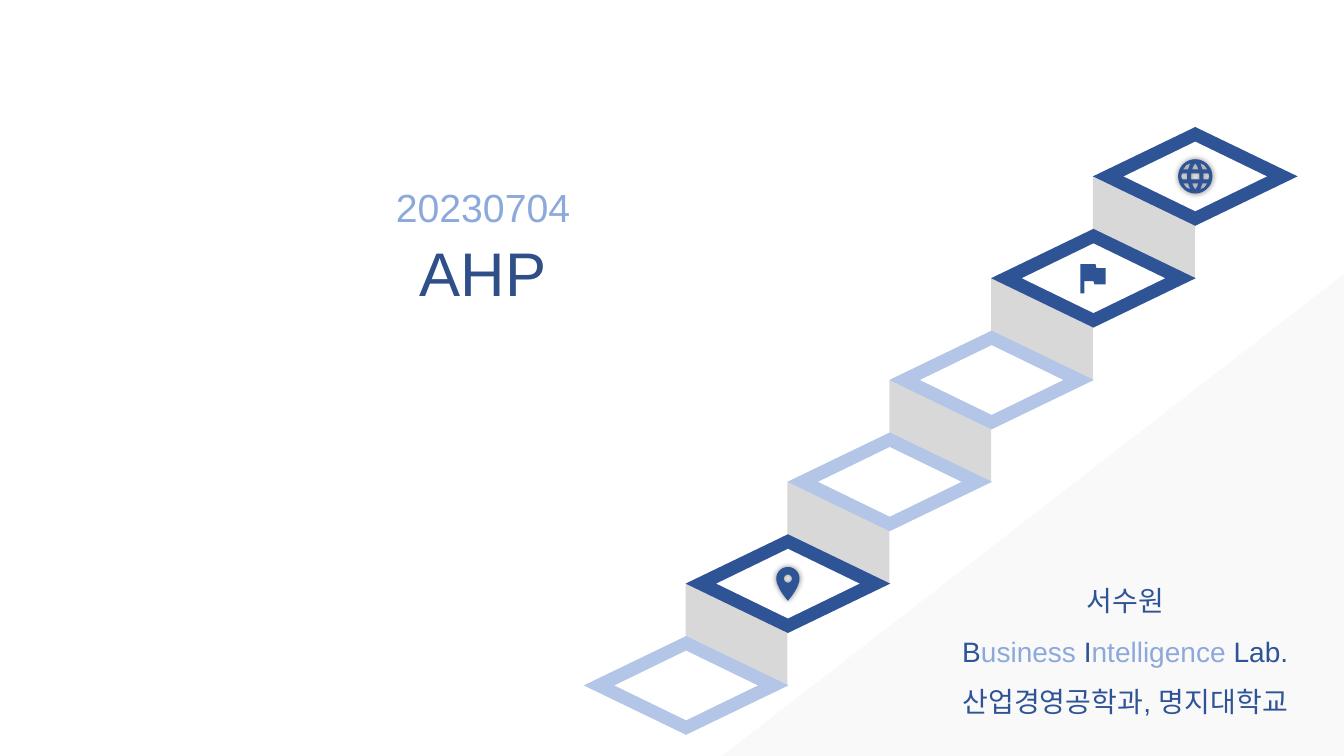
from dataclasses import dataclass
from math import cos, radians, sin

from lxml import etree
from pptx import Presentation
from pptx.dml.color import RGBColor
from pptx.enum.shapes import MSO_SHAPE
from pptx.enum.text import MSO_ANCHOR, MSO_AUTO_SIZE, PP_ALIGN
from pptx.oxml.ns import qn
from pptx.util import Inches, Pt

DIAMOND = MSO_SHAPE.DIAMOND
PARALLELOGRAM = MSO_SHAPE.PARALLELOGRAM
RIGHT_TRIANGLE = MSO_SHAPE.RIGHT_TRIANGLE
MIDDLE = MSO_ANCHOR.MIDDLE
GROW = MSO_AUTO_SIZE.SHAPE_TO_FIT_TEXT
CENTER = PP_ALIGN.CENTER


@dataclass(frozen=True)
class Theme:
    font: str = "Arial"
    navy: str = "2F5496"
    title_navy: str = "2E4F88"
    sky: str = "8DA9DB"
    pale: str = "B3C6E7"
    riser: str = "D8D8D8"
    corner: str = "F2F2F2"
    white: str = "FFFFFF"
    shadow: str = "000000"
    title_size: int = 44
    date_size: int = 28
    credit_size: int = 20


THEME = Theme()

TITLE = [[("AHP", THEME.title_navy)]]
DATE = [[("20230704", THEME.sky)]]
CREDIT = [
    [("서수원", THEME.navy)],
    [("B", THEME.navy), ("usiness ", THEME.sky), ("I", THEME.navy),
     ("ntelligence ", THEME.sky), ("Lab.", THEME.navy)],
    [("산업경영공학과, 명지대학교", THEME.navy)],
]
STEPS = [
    (THEME.pale, None), (THEME.navy, "pin"), (THEME.pale, None),
    (THEME.pale, None), (THEME.navy, "flag"), (THEME.navy, "globe"),
]
FIRST_LEFT, FIRST_TOP = 5.79, 6.31
STEP_W, STEP_H = 2.03, 0.98
INNER_W, INNER_H = 1.42, 0.69
RUN = RISE = 1.01
RISER_SLANT = 0.469


def circle(radius, start=0, end=360, center_y=0.0):
    angles = [radians(start + (end - start) * i / 36) for i in range(37)]
    return [(radius * cos(a), center_y + radius * sin(a)) for a in angles]


def curve(a, b, c, d):
    def point(t):
        weights = ((1 - t) ** 3, 3 * t * (1 - t) ** 2, 3 * t * t * (1 - t), t ** 3)
        return tuple(sum(w * p[axis] for w, p in zip(weights, (a, b, c, d)))
                     for axis in (0, 1))
    return [point(i / 12) for i in range(13)]


def mirrored(outline, sx, sy):
    return [(x * sx, y * sy) for x, y in outline]


def pin_outlines():
    head_y, tip = -0.05, (0, 0.17)
    right = curve((0.115, head_y), (0.115, 0.04), tip, tip)
    left = mirrored(right, -1, 1)[::-1]
    return [circle(0.115, 180, 360, head_y) + right + left,
            circle(0.04, center_y=head_y)]


def globe_outlines():
    corner = [(0.12, -0.07), (0.07, -0.07), (0.06, -0.1), (0.05, -0.13), (0.09, -0.11)]
    side = [(0.08, -0.03), (0.13, -0.03), (0.14, 0), (0.13, 0.03), (0.08, 0.03), (0.08, 0)]
    cap = [(0, -0.13), (0.02, -0.1), (0.03, -0.07), (-0.03, -0.07), (-0.02, -0.1)]
    core = [(-0.04, -0.03), (0.04, -0.03), (0.04, 0.03), (-0.04, 0.03)]
    return ([circle(0.17), core]
            + [mirrored(corner, sx, sy) for sx in (1, -1) for sy in (1, -1)]
            + [mirrored(side, s, 1) for s in (1, -1)]
            + [mirrored(cap, 1, s) for s in (1, -1)])


FLAG = [(0.03, -0.1), (0.02, -0.14), (-0.13, -0.14), (-0.13, 0.15), (-0.09, 0.15),
        (-0.09, 0.03), (0, 0.03), (0.01, 0.06), (0.12, 0.06), (0.12, -0.1)]
ICONS = {"pin": (pin_outlines(), True), "flag": ([FLAG], False),
         "globe": (globe_outlines(), True)}


def paint(shape, color):
    shape.fill.solid()
    shape.fill.fore_color.rgb = RGBColor.from_string(color)
    shape.line.fill.background()
    shape.shadow.inherit = False
    return shape


def add_preset(slide, kind, left, top, width, height, color):
    box = map(Inches, (left, top, width, height))
    return paint(slide.shapes.add_shape(kind, *box), color)


def add_glow(shape):
    effects = shape._element.spPr.find(qn("a:effectLst"))
    glow = etree.SubElement(effects, qn("a:outerShdw"), blurRad=str(Pt(4)),
                            algn="ctr", rotWithShape="0")
    tint = etree.SubElement(glow, qn("a:srgbClr"), val=THEME.shadow)
    etree.SubElement(tint, qn("a:alpha"), val="45000")


def add_icon(slide, icon, center_x, center_y):
    outlines, glows = ICONS[icon]
    placed = [[(Inches(center_x + x), Inches(center_y + y)) for x, y in outline]
              for outline in outlines]
    builder = slide.shapes.build_freeform(*placed[0][0])
    for i, outline in enumerate(placed):
        if i:
            builder.move_to(*outline[0])
        builder.add_line_segments(outline[1:], close=True)
    shape = paint(builder.convert_to_shape(), THEME.navy)
    if glows:
        add_glow(shape)


def add_corner(slide):
    corner = add_preset(slide, RIGHT_TRIANGLE, 7.16, 2.71, 6.18, 4.79, THEME.corner)
    properties = corner._element.spPr
    properties.find(qn("a:xfrm")).set("flipH", "1")
    tint = properties.find(qn("a:solidFill")).find(qn("a:srgbClr"))
    etree.SubElement(tint, qn("a:alpha"), val="40000")


def add_stairs(slide):
    corners = [(FIRST_LEFT + RUN * i, FIRST_TOP - RISE * i) for i in range(len(STEPS))]
    for left, top in corners[1:]:
        riser = add_preset(slide, PARALLELOGRAM, left, top + STEP_H / 2,
                           RUN, RISE, THEME.riser)
        riser.adjustments[0] = RISER_SLANT
        riser.rotation = 270
    for (left, top), (color, icon) in zip(corners, STEPS):
        add_preset(slide, DIAMOND, left, top, STEP_W, STEP_H, color)
        add_preset(slide, DIAMOND, left + (STEP_W - INNER_W) / 2,
                   top + (STEP_H - INNER_H) / 2, INNER_W, INNER_H, THEME.white)
        if icon:
            add_icon(slide, icon, left + STEP_W / 2, top + STEP_H / 2)


def add_text(slide, box, lines, size, spacing=None):
    frame = slide.shapes.add_textbox(*map(Inches, box)).text_frame
    frame.word_wrap = True
    frame.auto_size = GROW
    frame.vertical_anchor = MIDDLE
    frame.margin_left = frame.margin_right = frame.margin_top = frame.margin_bottom = 0
    for i, line in enumerate(lines):
        paragraph = frame.add_paragraph() if i else frame.paragraphs[0]
        paragraph.alignment = CENTER
        paragraph.line_spacing = spacing
        for words, color in line:
            run = paragraph.add_run()
            run.text = words
            run.font.name = THEME.font
            run.font.size = Pt(size)
            run.font.color.rgb = RGBColor.from_string(color)


def main():
    deck = Presentation()
    deck.slide_width, deck.slide_height = Inches(13.33), Inches(7.5)
    slide = deck.slides.add_slide(deck.slide_layouts[6])
    add_corner(slide)
    add_stairs(slide)
    add_text(slide, (0.45, 2.33, 8.68, 0.74), TITLE, THEME.title_size)
    add_text(slide, (0.45, 1.82, 8.68, 0.47), DATE, THEME.date_size)
    add_text(slide, (9.32, 5.62, 3.68, 1.51), CREDIT, THEME.credit_size, 1.5)
    deck.save("out.pptx")


if __name__ == "__main__":
    main()
